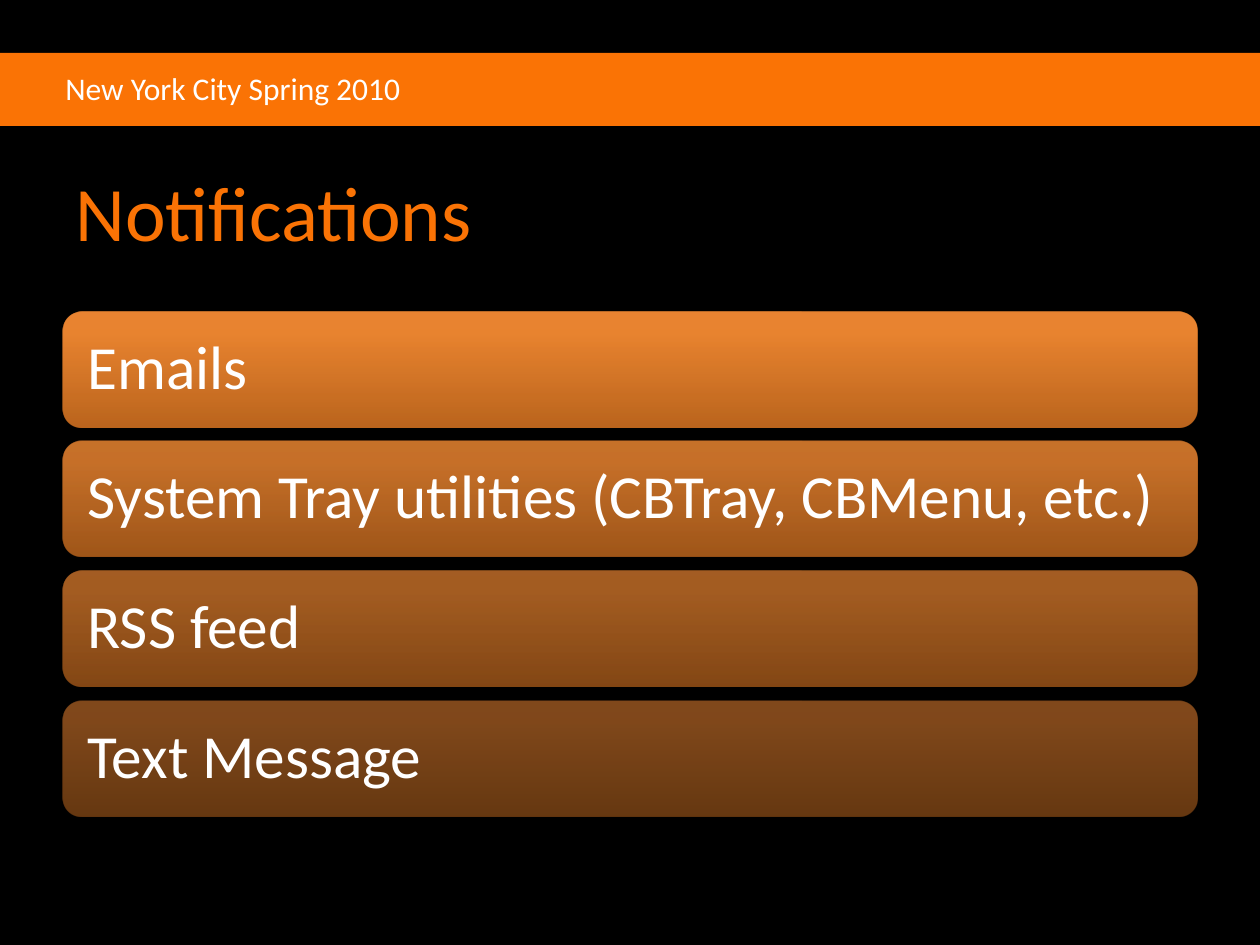
"""Build the Notifications slide with four stacked gradient bars."""
from lxml import etree
from pptx import Presentation
from pptx.dml.color import RGBColor
from pptx.enum.shapes import MSO_SHAPE
from pptx.enum.text import MSO_ANCHOR, PP_ALIGN
from pptx.oxml.ns import qn
from pptx.util import Inches, Pt

RECTANGLE = MSO_SHAPE.RECTANGLE
ROUNDED = MSO_SHAPE.ROUNDED_RECTANGLE
MIDDLE = MSO_ANCHOR.MIDDLE
TOP = MSO_ANCHOR.TOP
LEFT = PP_ALIGN.LEFT
COLORS = {"background": "000000", "accent": "FA7305", "text": "FFFFFF"}
BAR_STOPS = [(0, "CC6E20"), (80, "FF9034"), (100, "FF9136")]
BARS = [
    ("Emails", 90),
    ("System Tray utilities (CBTray, CBMenu, etc.)", 77),
    ("RSS feed", 63),
    ("Text Message", 50),
]
BAR_TOP, BAR_HEIGHT, BAR_STEP = 2.47, 0.92, 1.03


def write_text(shape, text, size, color, anchor):
    frame = shape.text_frame
    frame.vertical_anchor = anchor
    para = frame.paragraphs[0]
    para.alignment = LEFT
    span = para.add_run()
    span.text = text
    span.font.name = "Calibri"
    span.font.size = Pt(size)
    span.font.color.rgb = RGBColor.from_string(COLORS[color])
    return frame


def set_bar_gradient(shape, opacity):
    shape.fill.gradient()
    shape.fill.gradient_angle = 90
    stop_list = shape._element.spPr.find(qn("a:gradFill")).find(qn("a:gsLst"))
    for old_stop in list(stop_list):
        stop_list.remove(old_stop)
    for position, color in BAR_STOPS:
        stop = etree.SubElement(stop_list, qn("a:gs"), pos=str(position * 1000))
        tint = etree.SubElement(stop, qn("a:srgbClr"), val=color)
        etree.SubElement(tint, qn("a:alpha"), val=str(opacity * 1000))


deck = Presentation()
deck.slide_width, deck.slide_height = Inches(10), Inches(7.5)
page = deck.slides.add_slide(deck.slide_layouts[6])
page.background.fill.solid()
page.background.fill.fore_color.rgb = RGBColor.from_string(COLORS["background"])

band = page.shapes.add_shape(RECTANGLE, Inches(0), Inches(0.42), Inches(10), Inches(0.58))
band.shadow.inherit = False
band.fill.solid()
band.fill.fore_color.rgb = RGBColor.from_string(COLORS["accent"])
band.line.fill.background()

event = page.shapes.add_textbox(Inches(0.42), Inches(0.5), Inches(2.89), Inches(0.4))
write_text(event, "New York City Spring 2010", 18, "text", TOP)

title = page.shapes.add_textbox(Inches(0.5), Inches(1.17), Inches(9), Inches(1))
write_text(title, "Notifications", 44, "accent", MIDDLE).word_wrap = True

for index, (label, opacity) in enumerate(BARS):
    top = BAR_TOP + index * BAR_STEP
    bar = page.shapes.add_shape(ROUNDED, Inches(0.5), Inches(top), Inches(9), Inches(BAR_HEIGHT))
    bar.shadow.inherit = False
    bar.line.fill.background()
    set_bar_gradient(bar, opacity)
    frame = write_text(bar, label, 35, "text", MIDDLE)
    frame.word_wrap = True
    frame.margin_left = frame.margin_right = Inches(0.15)
    frame.margin_top = frame.margin_bottom = Inches(0.15)
    frame.paragraphs[0].line_spacing = 0.9

deck.save("out.pptx")
